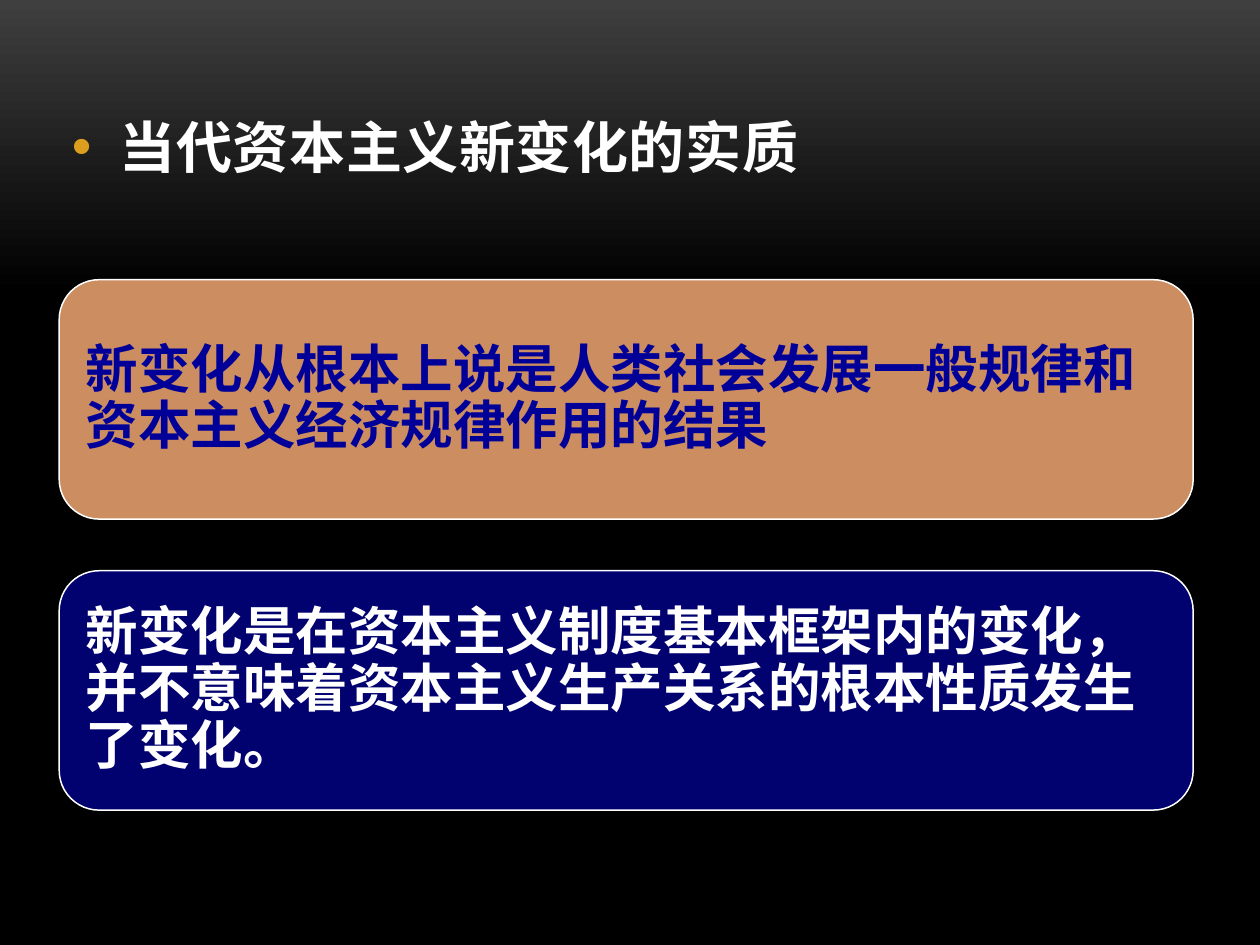
from lxml import etree
from pptx import Presentation
from pptx.dml.color import RGBColor
from pptx.enum.shapes import MSO_SHAPE
from pptx.enum.text import MSO_ANCHOR, MSO_AUTO_SIZE, PP_ALIGN
from pptx.oxml.ns import qn
from pptx.util import Inches, Pt

ROUNDED = MSO_SHAPE.ROUNDED_RECTANGLE
TOP, MIDDLE = MSO_ANCHOR.TOP, MSO_ANCHOR.MIDDLE
LEFT = PP_ALIGN.LEFT
NO_FIT = MSO_AUTO_SIZE.NONE
FONT = "Noto Sans CJK SC"
COLORS = {
    "sky": "3F3F3F",
    "black": "000000",
    "white": "FFFFFF",
    "gold": "DC9E1F",
    "copper": "CC8E60",
    "blue": "000099",
    "navy": "01016F",
}


def color(name):
    return RGBColor.from_string(COLORS[name])


def write_text(shape, text, *, size, ink, anchor=TOP, margins=(0.1, 0.05),
               line_spacing=1.0, bullet=None, tracking=0):
    """Fill the shape with one bold paragraph; margins are (sides, top and bottom) in inches."""
    frame = shape.text_frame
    frame.word_wrap = True
    frame.auto_size = NO_FIT
    frame.vertical_anchor = anchor
    frame.margin_left = frame.margin_right = Inches(margins[0])
    frame.margin_top = frame.margin_bottom = Inches(margins[1])
    paragraph = frame.paragraphs[0]
    if bullet:
        properties = paragraph._p.get_or_add_pPr()
        properties.set("marL", str(Inches(0.38)))
        properties.set("indent", str(-Inches(0.38)))
        bullet_color = etree.SubElement(properties, qn("a:buClr"))
        etree.SubElement(bullet_color, qn("a:srgbClr"), val=COLORS[bullet])
        etree.SubElement(properties, qn("a:buFont"), typeface="Arial")
        etree.SubElement(properties, qn("a:buChar"), char="•")
    paragraph.alignment = LEFT
    paragraph.line_spacing = line_spacing
    paragraph.space_before = Pt(0)
    run = paragraph.add_run()
    run.text = text
    run.font.size = Pt(size)
    run.font.bold = True
    run.font.color.rgb = color(ink)
    run.font.name = FONT
    run_properties = run._r.get_or_add_rPr()
    etree.SubElement(run_properties, qn("a:ea"), typeface=FONT)
    if tracking:
        run_properties.set("spc", str(tracking))


presentation = Presentation()
presentation.slide_width = Inches(10)
presentation.slide_height = Inches(7.5)
slide = presentation.slides.add_slide(presentation.slide_layouts[1])

# Background: grey at the top, black from about a third of the way down
background = slide.background.fill
background.gradient()
background.gradient_angle = 270
for stop, (position, name) in zip(background.gradient_stops, [(0, "sky"), (0.31, "black")]):
    stop.position = position
    stop.color.rgb = color(name)

# Heading, set as a bulleted line in the body placeholder
title = slide.shapes.title
title.element.getparent().remove(title.element)
left = Inches(0.47)
body = slide.placeholders[1]
body.left, body.top, body.width, body.height = left, Inches(0.84), Inches(8.82), Inches(5.28)
write_text(body, "当代资本主义新变化的实质", size=32, ink="white", bullet="gold", tracking=30)

# Two stacked statement cards
first_top, card_width, card_height, row_pitch = 2.22, 9, 1.9, 2.31
cards = [
    ("新变化从根本上说是人类社会发展一般规律和资本主义经济规律作用的结果", "copper", "blue"),
    ("新变化是在资本主义制度基本框架内的变化，并不意味着资本主义生产关系的根本性质发生了变化。",
     "navy", "white"),
]
for row, (statement, fill, ink) in enumerate(cards):
    card = slide.shapes.add_shape(ROUNDED, left, Inches(first_top + row * row_pitch),
                                  Inches(card_width), Inches(card_height))
    card.shadow.inherit = False
    card.fill.solid()
    card.fill.fore_color.rgb = color(fill)
    card.line.color.rgb = color("white")
    card.line.width = Pt(0.85)
    write_text(card, statement, size=30, ink=ink, anchor=MIDDLE,
               margins=(0.12, 0.12), line_spacing=0.9)

presentation.save("out.pptx")
